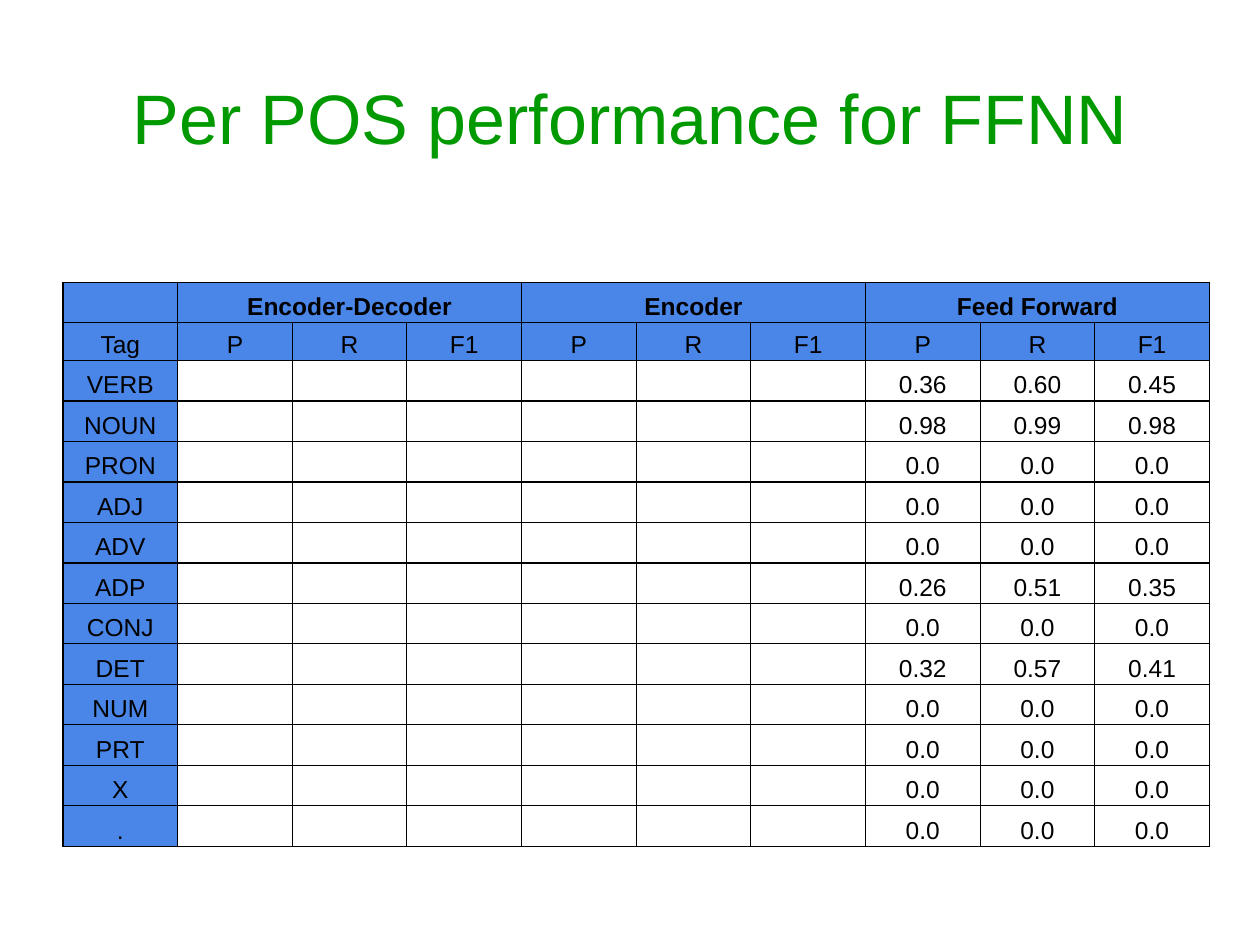
from dataclasses import dataclass

from lxml.etree import SubElement
from pptx import Presentation
from pptx.dml.color import RGBColor as Color
from pptx.enum.text import MSO_ANCHOR as Anchor, PP_ALIGN as Align
from pptx.oxml.ns import qn
from pptx.util import Cm, Pt


@dataclass(frozen=True)
class Theme:
    font: str = "Arial"
    title_size: int = 40
    table_size: int = 14
    line_spacing: float = 1.15
    border_width: float = 0.75
    title: str = "009900"
    text: str = "000000"
    header: str = "4A86E8"
    border: str = "000000"


THEME = Theme()
MODELS = ["Encoder-Decoder", "Encoder", "Feed Forward"]
MEASURES = ["P", "R", "F1"]
ZEROS = ["0.0"] * len(MEASURES)
FEED_FORWARD_SCORES = {
    "VERB": ["0.36", "0.60", "0.45"],
    "NOUN": ["0.98", "0.99", "0.98"],
    "PRON": ZEROS,
    "ADJ": ZEROS,
    "ADV": ZEROS,
    "ADP": ["0.26", "0.51", "0.35"],
    "CONJ": ZEROS,
    "DET": ["0.32", "0.57", "0.41"],
    "NUM": ZEROS,
    "PRT": ZEROS,
    "X": ZEROS,
    ".": ZEROS,
}


def add_span(para, text, size, color, bold=False):
    span = para.add_run()
    span.text = text
    span.font.name = THEME.font
    span.font.size = Pt(size)
    span.font.bold = bold
    span.font.color.rgb = Color.from_string(color)


def add_title(page, text):
    box = page.shapes.add_textbox(Cm(1.27), Cm(0.76), Cm(22.86), Cm(3.18))
    frame = box.text_frame
    frame.word_wrap = True
    frame.vertical_anchor = Anchor.MIDDLE
    para = frame.paragraphs[0]
    para.alignment = Align.CENTER
    add_span(para, text, THEME.title_size, THEME.title)


def add_borders(cell):
    properties = cell._tc.get_or_add_tcPr()
    for side in ("lnL", "lnR", "lnT", "lnB"):
        line = SubElement(properties, qn(f"a:{side}"), w=str(Pt(THEME.border_width)))
        fill = SubElement(line, qn("a:solidFill"))
        SubElement(fill, qn("a:srgbClr"), val=THEME.border)


def style_cell(cell, text, is_header, bold):
    cell.margin_left = cell.margin_right = Cm(0.08)
    cell.margin_top = cell.margin_bottom = Cm(0.04)
    cell.vertical_anchor = Anchor.BOTTOM
    add_borders(cell)
    if is_header:
        cell.fill.solid()
        cell.fill.fore_color.rgb = Color.from_string(THEME.header)
    else:
        cell.fill.background()
    para = cell.text_frame.paragraphs[0]
    para.alignment = Align.CENTER
    para.line_spacing = THEME.line_spacing
    if text:
        add_span(para, text, THEME.table_size, THEME.text, bold)
    else:
        SubElement(para._p, qn("a:endParaRPr"), sz=str(THEME.table_size * 100))


def table_rows():
    group = len(MEASURES)
    model_row = [""]
    for model in MODELS:
        model_row += [model] + [""] * (group - 1)
    blanks = [""] * group * (len(MODELS) - 1)
    score_rows = [[tag] + blanks + scores for tag, scores in FEED_FORWARD_SCORES.items()]
    return [model_row, ["Tag"] + MEASURES * len(MODELS)] + score_rows


def add_score_table(page, rows):
    width, height, measure_height = Cm(23.11), Cm(11.37), Cm(0.75)
    frame = page.shapes.add_table(
        len(rows), len(rows[0]), Cm(1.27), Cm(5.69), width, height
    )
    table = frame.table
    table.first_row = table.horz_banding = False
    for column in table.columns:
        column.width = width // len(rows[0])
    for row in table.rows:
        row.height = (height - measure_height) // (len(rows) - 1)
    table.rows[1].height = measure_height
    for row_index, texts in enumerate(rows):
        for column_index, text in enumerate(texts):
            is_header = row_index < 2 or column_index == 0
            cell = table.cell(row_index, column_index)
            style_cell(cell, text, is_header, bold=row_index == 0)
    group = len(MEASURES)
    for start in range(1, len(rows[0]), group):
        table.cell(0, start).merge(table.cell(0, start + group - 1))


def main():
    deck = Presentation()
    deck.slide_width, deck.slide_height = Cm(25.4), Cm(19.05)
    page = deck.slides.add_slide(deck.slide_layouts[6])
    add_title(page, "Per POS performance for FFNN")
    add_score_table(page, table_rows())
    deck.save("out.pptx")


if __name__ == "__main__":
    main()
